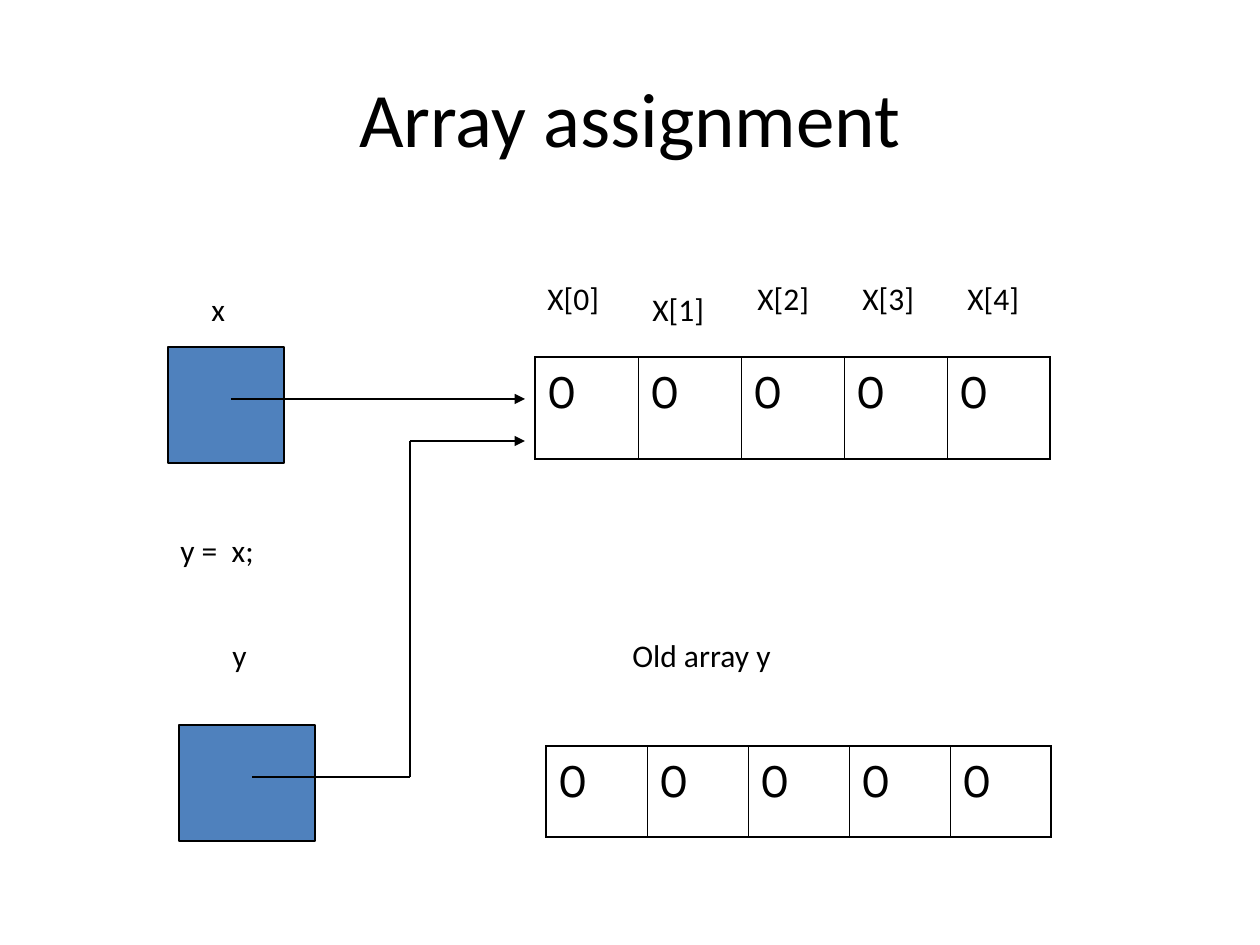
from dataclasses import dataclass

from lxml.etree import SubElement
from pptx import Presentation
from pptx.dml.color import RGBColor
from pptx.enum.shapes import MSO_CONNECTOR, MSO_SHAPE
from pptx.enum.text import MSO_ANCHOR, MSO_AUTO_SIZE, PP_ALIGN
from pptx.oxml.ns import qn
from pptx.util import Emu, Pt


@dataclass(frozen=True)
class Theme:
    """Colours, fonts, type sizes and line widths of the slide."""
    ink: RGBColor = RGBColor(0, 0, 0)
    box_fill: RGBColor = RGBColor(0x4F, 0x81, 0xBD)
    text_font: str = "Calibri"
    cell_font: str = "Karla"
    title_size: int = 44
    label_size: int = 18
    cell_size: int = 28
    line: float = 0.75
    inner_border: float = 0.45
    outer_border: float = 1.08


THEME = Theme()
PX_PER_INCH = 126
EMU_PER_PX = 914400 / PX_PER_INCH
LABEL_HEIGHT = 50


def px(length):
    """Turn whole pixels into EMU."""
    return Emu(round(length * EMU_PER_PX))


def format_text(frame, size, font):
    """Set size, face and colour on every run of a text frame."""
    for para in frame.paragraphs:
        for span in para.runs:
            span.font.size = Pt(size)
            span.font.name = font
            span.font.color.rgb = THEME.ink


def add_title(page, text):
    """Add the centred slide title."""
    box = page.shapes.add_textbox(px(63), px(38), px(1134), px(157))
    frame = box.text_frame
    frame.word_wrap = True
    frame.vertical_anchor = MSO_ANCHOR.MIDDLE
    frame.text = text
    frame.paragraphs[0].alignment = PP_ALIGN.CENTER
    format_text(frame, THEME.title_size, THEME.text_font)


def add_label(page, text, left, top, width):
    """Add a one-line label that grows with its text."""
    box = page.shapes.add_textbox(px(left), px(top), px(width), px(LABEL_HEIGHT))
    frame = box.text_frame
    frame.word_wrap = True
    frame.auto_size = MSO_AUTO_SIZE.SHAPE_TO_FIT_TEXT
    frame.text = text
    format_text(frame, THEME.label_size, THEME.text_font)


def add_variable_box(page, left, top, width, height):
    """Add the filled box that stands for a reference variable."""
    box = page.shapes.add_shape(
        MSO_SHAPE.RECTANGLE, px(left), px(top), px(width), px(height))
    box.shadow.inherit = False
    box.fill.solid()
    box.fill.fore_color.rgb = THEME.box_fill
    box.line.color.rgb = THEME.ink
    box.line.width = Pt(THEME.line)


def add_pointer(page, points):
    """Join the points with straight lines and put an arrowhead on the last."""
    for start, end in zip(points, points[1:]):
        line = page.shapes.add_connector(
            MSO_CONNECTOR.STRAIGHT, *(px(value) for value in start + end))
        line.line.color.rgb = THEME.ink
        line.line.width = Pt(THEME.line)
        if end == points[-1]:
            SubElement(line.line._get_or_add_ln(), qn("a:tailEnd"), type="triangle")
        SubElement(line._element.spPr, qn("a:effectLst"))


def set_borders(cell, widths):
    """Draw the cell borders, given as a width in points for each side."""
    properties = cell._tc.get_or_add_tcPr()
    for side, width in widths.items():
        border = SubElement(properties, qn(f"a:ln{side}"), w=str(Pt(width)))
        fill = SubElement(border, qn("a:solidFill"))
        SubElement(fill, qn("a:srgbClr"), val=str(THEME.ink))


def add_array(page, values, left, top, cell_width, height):
    """Add a one-row table with one cell for each array element."""
    count = len(values)
    table = page.shapes.add_table(
        1, count, px(left), px(top), px(cell_width * count), px(height)).table
    table.first_row = table.horz_banding = False
    outer, inner = THEME.outer_border, THEME.inner_border
    for index, value in enumerate(values):
        table.columns[index].width = px(cell_width)
        cell = table.cell(0, index)
        cell.text_frame.text = str(value)
        format_text(cell.text_frame, THEME.cell_size, THEME.cell_font)
        set_borders(cell, {
            "L": outer if index == 0 else inner,
            "R": outer if index == count - 1 else inner,
            "T": outer,
            "B": outer,
        })
        cell.fill.background()


def main():
    """Build the slide and save it."""
    deck = Presentation()
    deck.slide_width, deck.slide_height = px(1260), px(945)
    page = deck.slides.add_slide(deck.slide_layouts[6])
    zeros = [0] * 5

    add_title(page, "Array assignment")

    add_array(page, zeros, 535, 357, 103, 102)
    add_variable_box(page, 168, 347, 116, 116)
    add_pointer(page, [(231, 399), (525, 399)])
    add_label(page, "x", 199, 284, 42)
    for index, top in enumerate([273, 284, 273, 273, 273]):
        add_label(page, f"X[{index}]", 535 + 105 * index, top, 105)

    add_label(page, "y =  x;", 168, 525, 210)

    add_array(page, zeros, 546, 746, 101, 91)
    add_variable_box(page, 179, 725, 136, 116)
    add_label(page, "y", 220, 630, 53)
    add_pointer(page, [(252, 777), (410, 777), (410, 441), (525, 441)])
    add_label(page, "Old array y", 620, 630, 378)

    deck.save("out.pptx")


if __name__ == "__main__":
    main()
